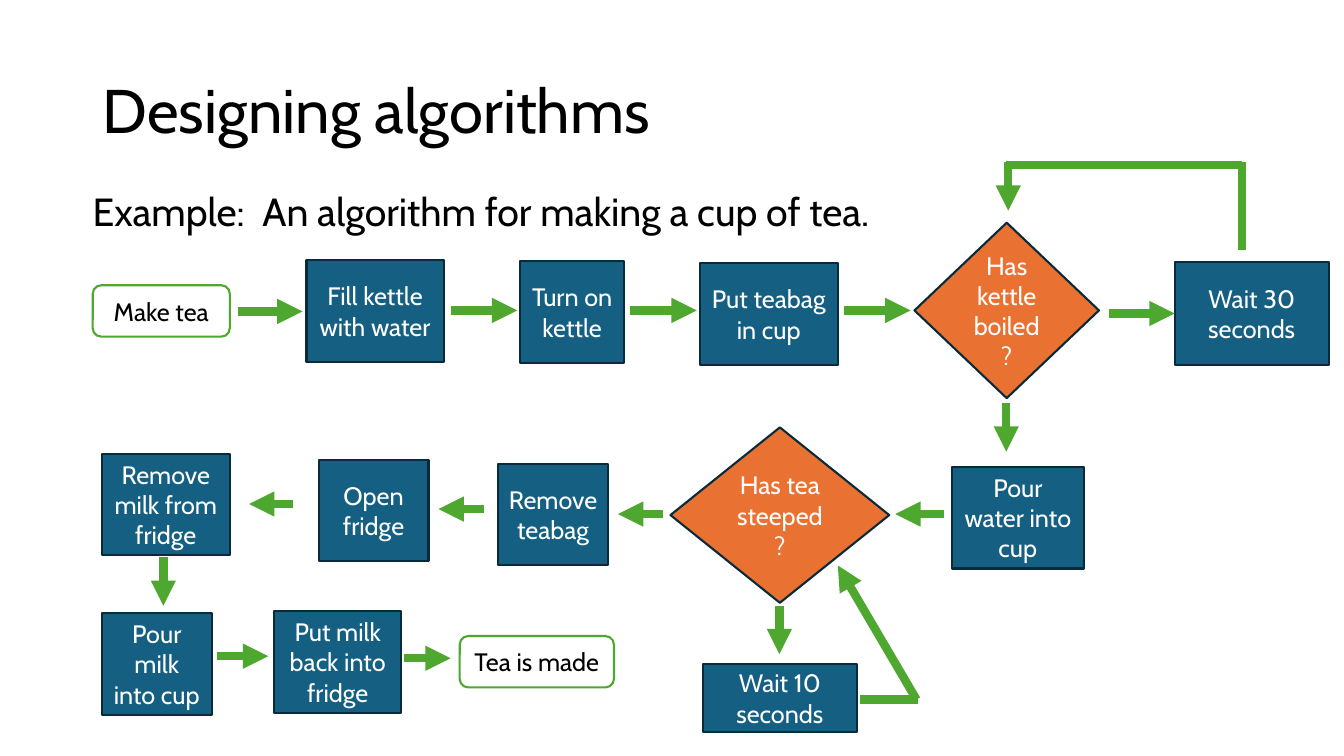
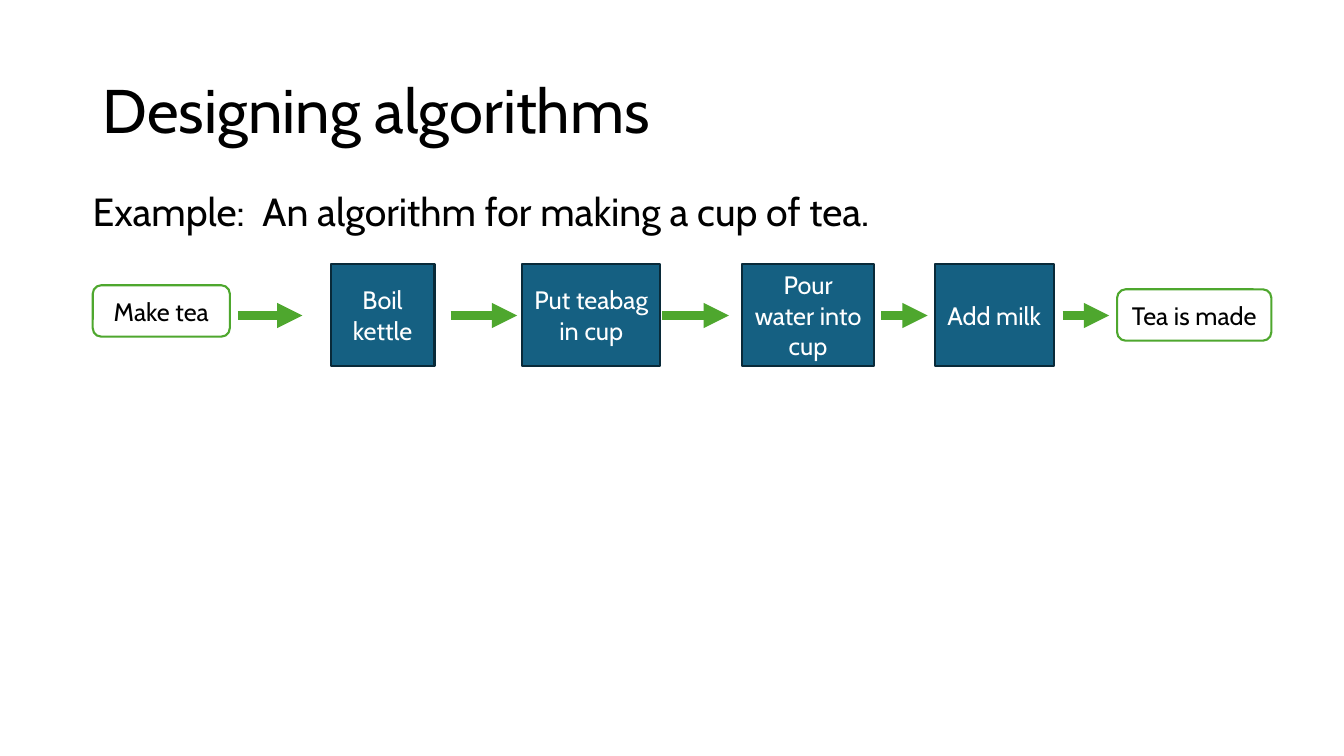
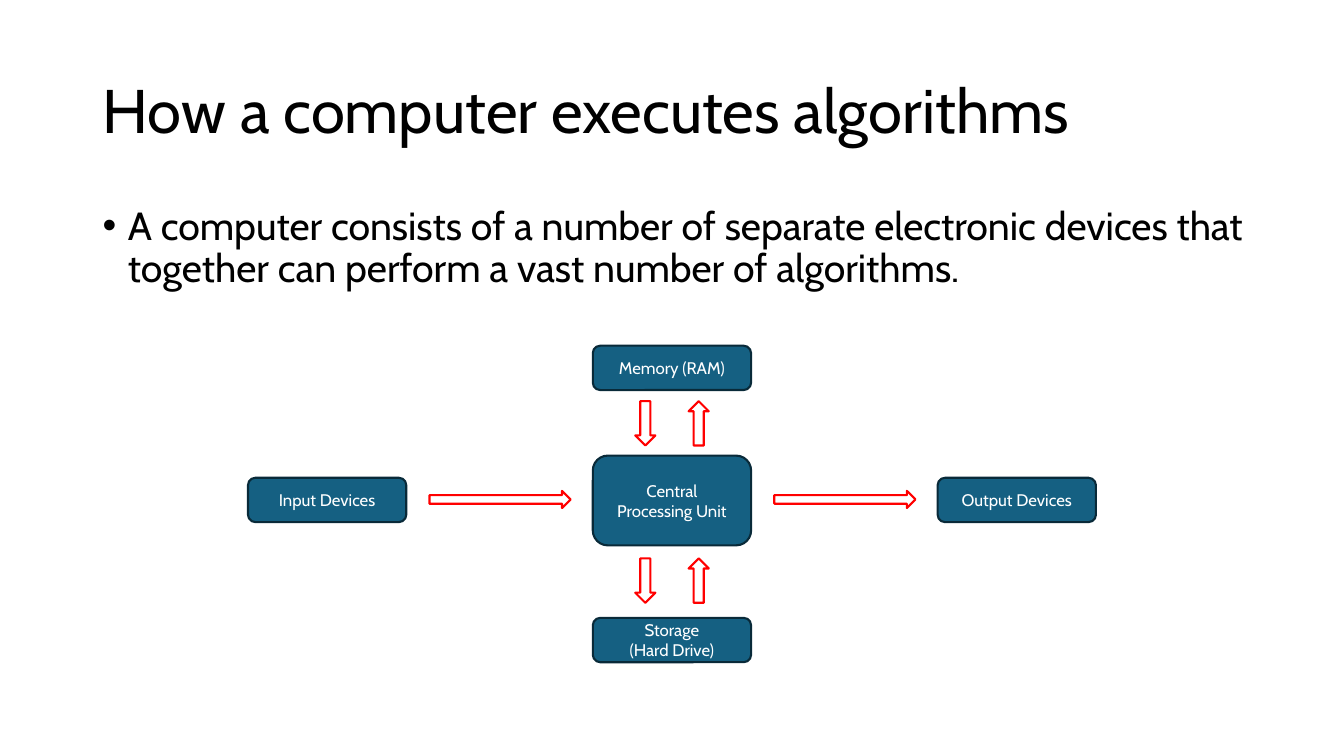
from lxml.etree import SubElement
from pptx import Presentation
from pptx.dml.color import RGBColor
from pptx.enum.shapes import MSO_CONNECTOR as Connector, MSO_SHAPE as Shape
from pptx.enum.text import MSO_ANCHOR as Anchor, MSO_AUTO_SIZE as AutoSize, PP_ALIGN as Align
from pptx.oxml.ns import qn
from pptx.util import Inches, Pt

FONT = "Cabin"
BLACK, WHITE = "000000", "FFFFFF"
BLUE, NAVY, ORANGE, GREEN, RED = "156082", "092A39", "E97132", "4EA72E", "FF0000"
STYLES = {
    "step": (Shape.RECTANGLE, BLUE, NAVY, WHITE),
    "choice": (Shape.FLOWCHART_DECISION, ORANGE, NAVY, WHITE),
    "end": (Shape.ROUNDED_RECTANGLE, WHITE, GREEN, BLACK),
    "device": (Shape.ROUNDED_RECTANGLE, BLUE, NAVY, WHITE),
    "flow": (Shape.RIGHT_ARROW, None, RED, BLACK),
}
STEP_HEIGHT, END_HEIGHT, CHOICE_HEIGHT = 1.01, 0.51, 1.74

TEA_TITLE = "Designing algorithms"
TEA_EXAMPLE = "Example:  An algorithm for making a cup of tea."
MAKE_TEA = ("end", "Make tea", 0.92, 2.83, 1.36, END_HEIGHT)

DETAILED_STEPS = [
    MAKE_TEA,
    ("step", "Fill kettle with water", 3.04, 2.58, 1.36, STEP_HEIGHT),
    ("step", "Turn on kettle", 5.16, 2.59, 1.03, STEP_HEIGHT),
    ("step", "Put teabag in cup", 6.94, 2.61, 1.37, STEP_HEIGHT),
    ("choice", "Has kettle boiled?", 9.07, 2.21, 1.83, CHOICE_HEIGHT),
    ("step", "Wait 30 seconds", 11.65, 2.6, 1.53, 1.02),
    ("step", "Pour water into cup", 9.44, 4.63, 1.31, STEP_HEIGHT),
    ("choice", "Has tea steeped?", 6.65, 4.24, 2.17, CHOICE_HEIGHT),
    ("step", "Wait 10 seconds", 6.97, 6.59, 1.53, 0.67),
    ("step", "Remove teabag", 4.94, 4.6, 1.09, STEP_HEIGHT),
    ("step", "Open fridge", 3.16, 4.56, 1.09, STEP_HEIGHT),
    ("step", "Remove milk from fridge", 1.01, 4.5, 1.27, STEP_HEIGHT),
    ("step", "Pour milk into cup", 1.01, 6.08, 1.09, STEP_HEIGHT),
    ("step", "Put milk back into fridge", 2.72, 6.06, 1.26, STEP_HEIGHT),
    ("end", "Tea is made", 4.56, 6.31, 1.53, END_HEIGHT),
]
DETAILED_ARROWS = [
    (2.36, 3.09, 3, 3.09),
    (4.47, 3.08, 5.13, 3.08),
    (6.25, 3.08, 6.91, 3.08),
    (8.37, 3.08, 9.03, 3.08),
    (10, 1.61, 10, 2.09),
    (9.98, 4, 9.98, 4.48),
    (9.36, 5.1, 8.88, 5.1),
    (7.73, 6.01, 7.73, 6.49),
    (9.09, 6.94, 8.31, 5.61),
    (6.58, 5.1, 6.13, 5.1),
    (4.8, 5.05, 4.35, 5.05),
    (2.91, 5, 2.47, 5),
    (1.62, 5.53, 1.62, 6.01),
    (2.15, 6.51, 2.66, 6.51),
    (4.01, 6.53, 4.47, 6.53),
]
WAIT_ARROW = (11, 3.11, 11.65, 3.11)
LOOP_LINES = [(12.32, 2.48, 12.32, 1.61), (9.98, 1.64, 12.32, 1.64), (8.53, 6.94, 9.1, 6.94)]

SIMPLE_TOP, SIMPLE_ARROW_Y = 2.62, 3.13
SIMPLE_STEPS = [
    ("Boil kettle", 3.28, 1.03),
    ("Put teabag in cup", 5.18, 1.37),
    ("Pour water into cup", 7.36, 1.31),
    ("Add milk", 9.27, 1.18),
]
SIMPLE_END = ("end", "Tea is made", 11.08, 2.87, 1.53, END_HEIGHT)
SIMPLE_ARROWS = [(2.36, 3), (4.47, 5.13), (6.57, 7.23), (8.74, 9.2), (10.54, 11)]

COMPUTER_TITLE = "How a computer executes algorithms"
COMPUTER_TEXT = ("A computer consists of a number of separate electronic devices "
                 "that together can perform a vast number of algorithms.")
DEVICE_WIDTH, DEVICE_HEIGHT, CPU_LEFT, DEVICE_GAP = 1.57, 0.44, 5.88, 3.42
DEVICES = [
    ("Memory (RAM)", 0, 3.43, DEVICE_HEIGHT),
    ("Input Devices", -1, 4.74, DEVICE_HEIGHT),
    ("Output Devices", 1, 4.74, DEVICE_HEIGHT),
    ("Storage\n(Hard Drive)", 0, 6.13, DEVICE_HEIGHT),
    ("Central Processing Unit", 0, 4.52, 0.89),
]


def rgb(colour):
    return RGBColor.from_string(colour)


def write(frame, text, size, colour, align):
    for index, line in enumerate(text.split("\n")):
        para = frame.paragraphs[0] if index == 0 else frame.add_paragraph()
        para.alignment = align
        span = para.add_run()
        span.text = line
        span.font.name = FONT
        span.font.size = Pt(size)
        span.font.color.rgb = rgb(colour)


def add_page(deck, title, text, left, top, bullet=False):
    page = deck.slides.add_slide(deck.slide_layouts[5])
    heading = page.shapes.title
    heading.left, heading.top = Inches(0.92), Inches(0.4)
    heading.width, heading.height = Inches(11.5), Inches(1.45)
    heading.text_frame.vertical_anchor = Anchor.MIDDLE
    body = page.shapes.add_textbox(Inches(left), Inches(top), Inches(11.5), Inches(4.76))
    for box, words, size in ((heading, title, 44), (body, text, 28)):
        frame = box.text_frame
        frame.word_wrap = True
        frame.auto_size = AutoSize.NONE
        write(frame, words, size, BLACK, Align.LEFT)
        frame.paragraphs[0].line_spacing = 0.9
    para = body.text_frame.paragraphs[0]
    para.space_before = Pt(10)
    if bullet:
        properties = para._p.get_or_add_pPr()
        properties.set("marL", str(Inches(0.25)))
        properties.set("indent", str(Inches(-0.25)))
        SubElement(properties, qn("a:buFont")).set("typeface", "Arial")
        SubElement(properties, qn("a:buChar")).set("char", "•")
    return page


def add_box(page, style, text, left, top, width, height, size=18):
    preset, fill, line, colour = STYLES[style]
    box = page.shapes.add_shape(preset, Inches(left), Inches(top), Inches(width), Inches(height))
    box.shadow.inherit = False
    if fill:
        box.fill.solid()
        box.fill.fore_color.rgb = rgb(fill)
    else:
        box.fill.background()
    box.line.color.rgb = rgb(line)
    box.line.width = Pt(1.5)
    if text:
        box.text_frame.vertical_anchor = Anchor.MIDDLE
        write(box.text_frame, text, size, colour, Align.CENTER)
    return box


def add_line(page, points, arrow=True):
    line = page.shapes.add_connector(Connector.STRAIGHT, *map(Inches, points))
    line.line.color.rgb = rgb(GREEN)
    line.line.width = Pt(6)
    if arrow:
        SubElement(line.line._get_or_add_ln(), qn("a:tailEnd")).set("type", "triangle")
    SubElement(line._element.spPr, qn("a:effectLst"))
    return line


def build_detailed(deck):
    page = add_page(deck, TEA_TITLE, TEA_EXAMPLE, 0.82, 1.86)
    boxes = {step[1]: add_box(page, *step) for step in DETAILED_STEPS}
    for points in DETAILED_ARROWS:
        add_line(page, points)
    for points in LOOP_LINES:
        add_line(page, points, arrow=False)
    add_line(page, WAIT_ARROW).end_connect(boxes["Wait 30 seconds"], 1)


def build_simple(deck):
    page = add_page(deck, TEA_TITLE, TEA_EXAMPLE, 0.82, 1.86)
    add_box(page, *MAKE_TEA)
    for text, left, width in SIMPLE_STEPS:
        add_box(page, "step", text, left, SIMPLE_TOP, width, STEP_HEIGHT)
    add_box(page, *SIMPLE_END)
    for start, end in SIMPLE_ARROWS:
        add_line(page, (start, SIMPLE_ARROW_Y, end, SIMPLE_ARROW_Y))


def build_computer(deck):
    page = add_page(deck, COMPUTER_TITLE, COMPUTER_TEXT, 0.92, 2, bullet=True)
    for text, column, top, height in DEVICES:
        left = CPU_LEFT + column * DEVICE_GAP
        add_box(page, "device", text, left, top, DEVICE_WIDTH, height, size=12)
    for left in (4.26, 4.26 + DEVICE_GAP):
        add_box(page, "flow", "", left, 4.87, 1.4, 0.17)
    for top in (4.1, 5.66):
        for left, turn in ((6.18, 90), (6.71, 270)):
            add_box(page, "flow", "", left, top, 0.44, 0.2).rotation = turn


def main():
    deck = Presentation()
    deck.slide_width, deck.slide_height = Inches(13.33), Inches(7.5)
    build_detailed(deck)
    build_simple(deck)
    build_computer(deck)
    deck.save("out.pptx")


if __name__ == "__main__":
    main()
